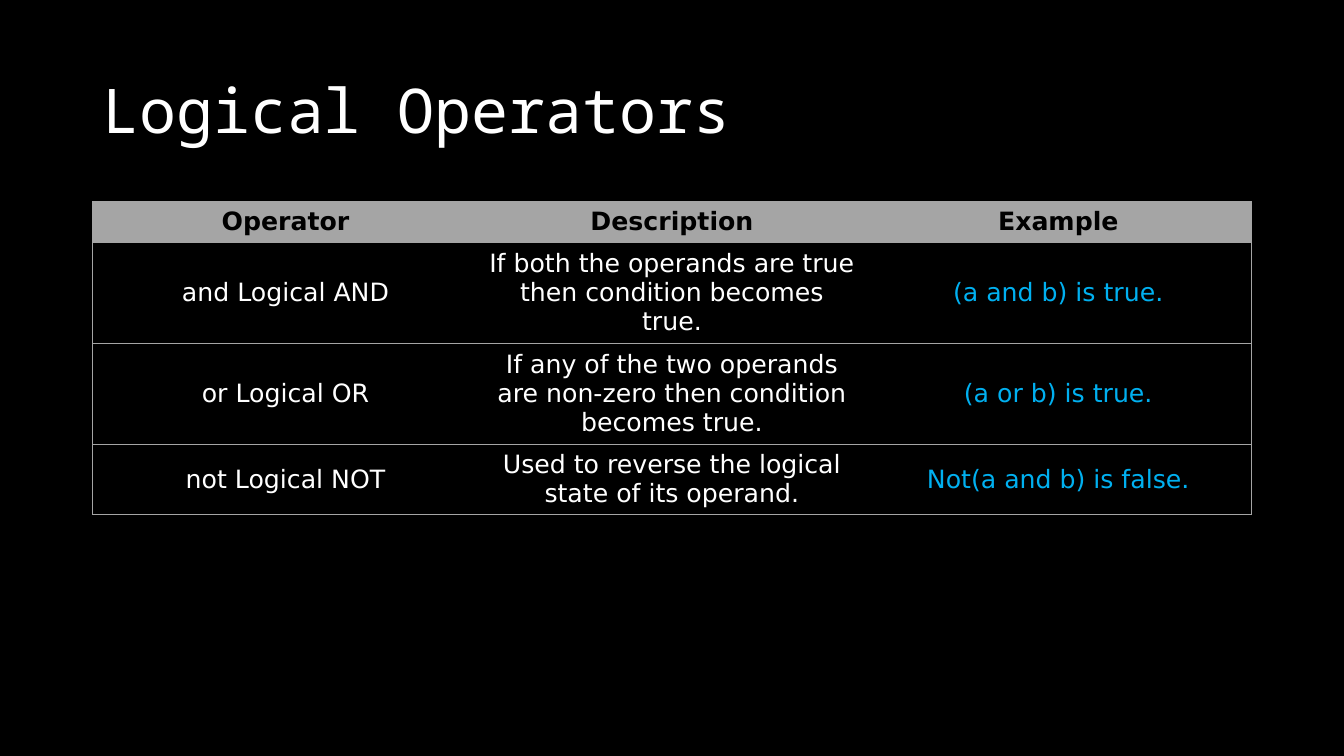
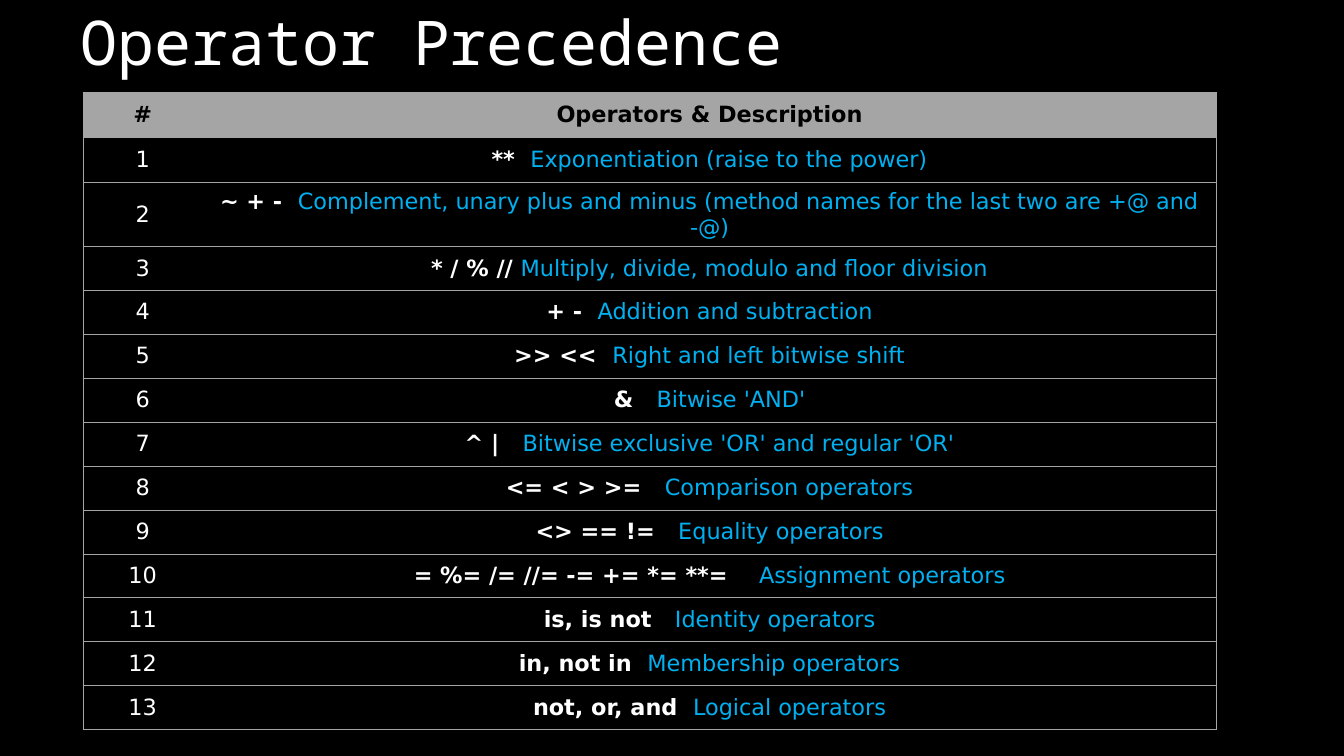
"""Build two slides of operator tables in one dark style."""
from dataclasses import dataclass

from pptx import Presentation
from pptx.dml.color import RGBColor
from pptx.enum.text import MSO_ANCHOR, PP_ALIGN
from pptx.oxml import parse_xml
from pptx.oxml.ns import nsdecls
from pptx.util import Pt

MIDDLE = MSO_ANCHOR.MIDDLE
CENTER = PP_ALIGN.CENTER


@dataclass(frozen=True)
class Theme:
    back: str = "000000"
    text: str = "FFFFFF"
    accent: str = "00B0F0"
    rule: str = "A5A5A5"
    head: str = "Noto Sans Mono"
    body: str = "DejaVu Sans"
    title: float = 44
    line: float = 0.5


THEME = Theme()

LOGIC = [
    ("and Logical AND",
     "If both the operands are true then condition becomes true.",
     "(a and b) is true."),
    ("or Logical OR",
     "If any of the two operands are non-zero then condition becomes true.",
     "(a or b) is true."),
    ("not Logical NOT",
     "Used to reverse the logical state of its operand.",
     "Not(a and b) is false."),
]

RANKS = [
    ("**", 1, "Exponentiation (raise to the power)"),
    ("~ + -", 1, "Complement, unary plus and minus "
     "(method names for the last two are +@ and -@)"),
    ("* / % //", 0, "Multiply, divide, modulo and floor division"),
    ("+ -", 1, "Addition and subtraction"),
    (">> <<", 1, "Right and left bitwise shift"),
    ("&", 2, "Bitwise 'AND'"),
    ("^ |", 2, "Bitwise exclusive 'OR' and regular 'OR'"),
    ("<= < > >=", 2, "Comparison operators"),
    ("<> == !=", 2, "Equality operators"),
    ("= %= /= //= -= += *= **=", 3, "Assignment operators"),
    ("is, is not", 2, "Identity operators"),
    ("in, not in", 1, "Membership operators"),
    ("not, or, and", 1, "Logical operators"),
]


def color(code):
    return RGBColor.from_string(code)


def plain(text, tint=THEME.text, bold=False):
    return [(text, tint, bold)]


def header(*names):
    return [plain(name, THEME.back, True) for name in names]


def logic_rows():
    return [header("Operator", "Description", "Example")] + [
        [plain(name), plain(note), plain(sample, THEME.accent)]
        for name, note, sample in LOGIC]


def rank_rows():
    rows = [header("#", "Operators & Description")]
    for rank, (signs, gap, note) in enumerate(RANKS, 1):
        label = signs + chr(160) * gap + " "
        rows.append([plain(str(rank)),
                     plain(label, bold=True) + plain(note, THEME.accent)])
    return rows


SLIDES = [
    dict(title="Logical Operators", spot=(66, 28.8), rows=logic_rows(),
         at=(66, 144), cols=[276] * 3, highs=[29.2] * 4, size=18),
    dict(title="Operator Precedence", spot=(50.4, -19.4), rows=rank_rows(),
         at=(59.2, 66), cols=[85.4, 724.6],
         highs=[32.2] * 2 + [31.4] * 12, size=16),
]


def add_title(slide, text, spot):
    left, top = spot
    box = slide.shapes.add_textbox(Pt(left), Pt(top), Pt(828), Pt(104.4))
    frame = box.text_frame
    frame.word_wrap = True
    frame.vertical_anchor = MIDDLE
    para = frame.paragraphs[0]
    para.text = text
    para.line_spacing = 0.9
    para.font.name = THEME.head
    para.font.size = Pt(THEME.title)
    para.font.color.rgb = color(THEME.text)


def add_edges(cell, first, last):
    shown = {"lnL": first, "lnR": last, "lnT": True, "lnB": True}
    props = cell._tc.get_or_add_tcPr()
    for tag, show in shown.items():
        paint = (f'<a:solidFill><a:srgbClr val="{THEME.rule}"/></a:solidFill>'
                 if show else "<a:noFill/>")
        props.append(parse_xml(
            f'<a:{tag} {nsdecls("a")} w="{Pt(THEME.line)}">{paint}</a:{tag}>'))


def fill_cell(cell, parts, size):
    cell.vertical_anchor = MIDDLE
    para = cell.text_frame.paragraphs[0]
    para.alignment = CENTER
    para.font.name = THEME.body
    para.font.size = Pt(size)
    for text, tint, bold in parts:
        run = para.add_run()
        run.text = text
        run.font.color.rgb = color(tint)
        run.font.bold = bold


def add_grid(slide, rows, at, cols, highs, size):
    left, top = at
    table = slide.shapes.add_table(
        len(rows), len(cols), Pt(left), Pt(top),
        Pt(sum(cols)), Pt(sum(highs))).table
    table.first_row = table.horz_banding = False
    for col, width in zip(table.columns, cols):
        col.width = Pt(width)
    for y, (row, high) in enumerate(zip(rows, highs)):
        table.rows[y].height = Pt(high)
        for x, parts in enumerate(row):
            cell = table.cell(y, x)
            add_edges(cell, x == 0, x == len(cols) - 1)
            cell.fill.solid()
            cell.fill.fore_color.rgb = color(THEME.back if y else THEME.rule)
            fill_cell(cell, parts, size)


def main():
    deck = Presentation()
    deck.slide_width, deck.slide_height = Pt(960), Pt(540)
    for page in SLIDES:
        slide = deck.slides.add_slide(deck.slide_layouts[6])
        fill = slide.background.fill
        fill.solid()
        fill.fore_color.rgb = color(THEME.back)
        add_title(slide, page["title"], page["spot"])
        add_grid(slide, page["rows"], page["at"], page["cols"],
                 page["highs"], page["size"])
    deck.save("out.pptx")


if __name__ == "__main__":
    main()
